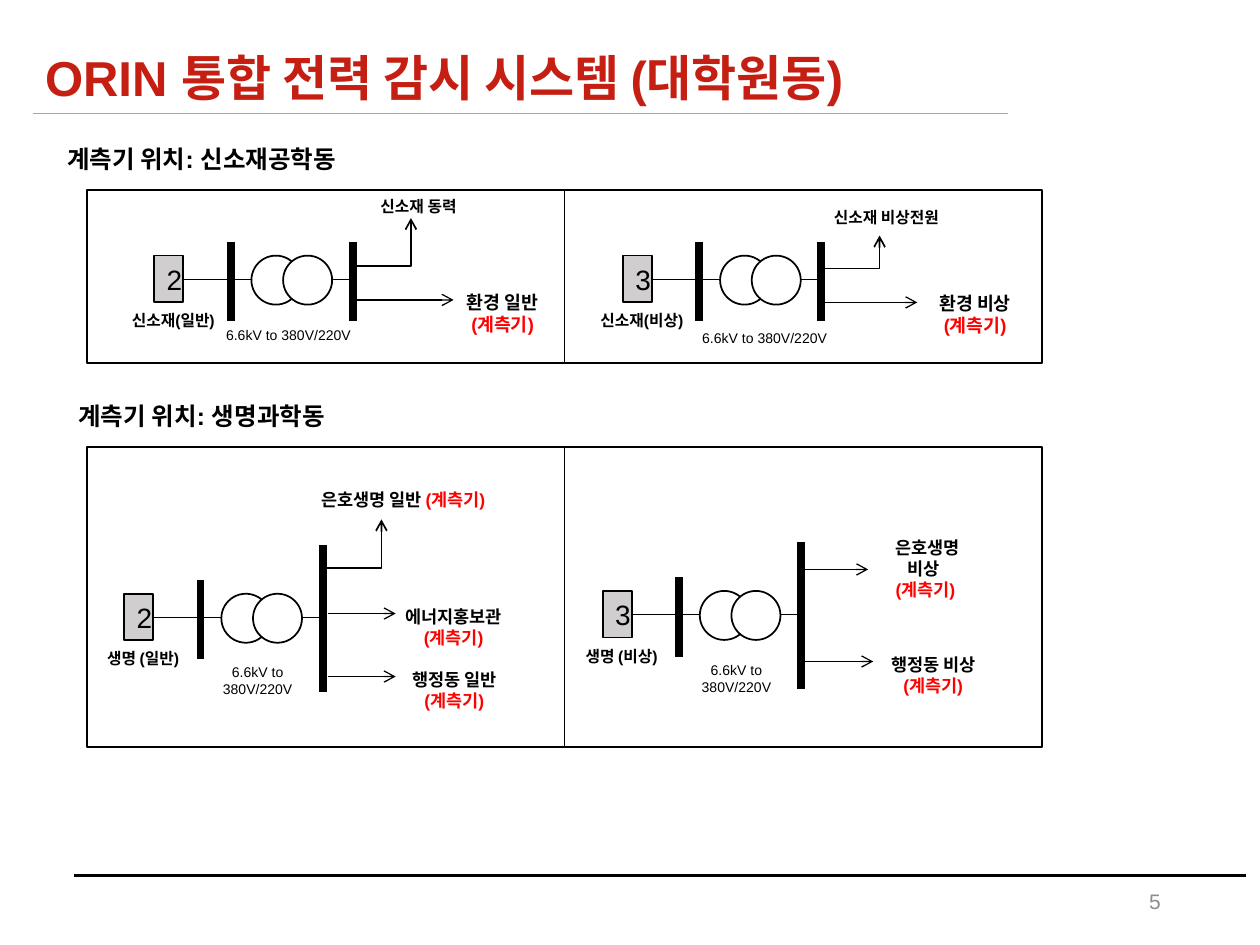
"""Build the power monitoring slide with its four metered feeder circuits."""
from dataclasses import dataclass

from pptx import Presentation
from pptx import util as u
from pptx.dml.color import RGBColor
from pptx.enum import shapes, text
from pptx.oxml import ns, xmlchemy

BLACK = RGBColor(0x00, 0x00, 0x00)
WHITE = RGBColor(0xFF, 0xFF, 0xFF)
RED = RGBColor(0xFF, 0x00, 0x00)
TITLE_RED = RGBColor(0xC4, 0x1F, 0x12)
BOX_GREY = RGBColor(0xD0, 0xCE, 0xCE)
RULE_GREY = RGBColor(0xA6, 0xA6, 0xA6)
NUMBER_GREY = RGBColor(0x8C, 0x8C, 0x8C)

METER = "(계측기)"
RATIO = "6.6kV to 380V/220V"
CENTER = text.PP_ALIGN.CENTER


@dataclass(frozen=True)
class Label:
    lines: tuple
    left: float
    top: float
    width: float
    height: float
    size: float
    bold: bool = True
    color: RGBColor = BLACK
    align: text.PP_ALIGN = CENTER


@dataclass(frozen=True)
class Circuit:
    number: str
    x: float
    y: float
    caption: str
    caption_width: float
    bus_top: float
    bus_bottom: float


@dataclass(frozen=True)
class Arrow:
    points: tuple
    weight: float = 0.75


@dataclass(frozen=True)
class Panel:
    left: float
    top: float
    height: float


CIRCUITS = (
    Circuit("2", 131.8, 159.8, "신소재(일반)", 66.2, -21.6, 23.8),
    Circuit("3", 399.6, 159.8, "신소재(비상)", 66.2, -21.6, 23.8),
    Circuit("2", 114.6, 353, "생명 (일반)", 60.5, -41.4, 42.4),
    Circuit("3", 388, 351.4, "생명 (비상)", 60.5, -41.4, 42.4),
)

ARROWS = (
    Arrow(((203.8, 171.4), (259.2, 171.4))),
    Arrow(((200.2, 152), (234.8, 152), (234.8, 124.6)), 1),
    Arrow(((468.7, 172.8), (524.2, 172.8))),
    Arrow(((470.2, 153.4), (502.6, 153.4), (502.6, 134.6)), 1),
    Arrow(((182.9, 324.5), (218, 324.5), (218, 296.8)), 1),
    Arrow(((187.2, 350.6), (226.1, 350.6))),
    Arrow(((187.2, 386.6), (226.1, 386.6))),
    Arrow(((460.1, 378), (499, 378))),
    Arrow(((456.5, 325.4), (496.1, 325.4))),
)

PANELS = tuple(
    Panel(left, top, height)
    for top, height in ((108.7, 98.6), (255.6, 171.4))
    for left in (49.7, 322.6)
)

LABELS = (
    Label(("ORIN 통합 전력 감시 시스템 (대학원동)",), 18.7, 23.8, 636.5, 41, 28,
          color=TITLE_RED, align=text.PP_ALIGN.LEFT),
    Label(("계측기 위치: 신소재공학동",), 9.4, 78.5, 211.7, 24.5, 14),
    Label(("계측기 위치: 생명과학동",), 9.4, 225.4, 211.7, 24.5, 14),
    Label((RATIO,), 92.2, 182.9, 145.4, 17.3, 8, False),
    Label((RATIO,), 364.3, 185, 145.4, 17.3, 8, False),
    Label((RATIO,), 107.3, 375.8, 79.9, 26.6, 8, False),
    Label((RATIO,), 380.9, 374.4, 79.9, 26.6, 8, False),
    Label(("신소재 동력",), 207.4, 108.7, 63.4, 18, 9),
    Label(("신소재 비상전원",), 465.8, 115.2, 81.4, 18, 9),
    Label(("환경 일반", METER), 257, 162.7, 60.5, 32.4, 10.5),
    Label(("환경 비상", METER), 527, 163.4, 60.5, 32.4, 10.5),
    Label((f" 은호생명 일반 {METER}",), 167.8, 275.8, 123.1, 19.4, 10),
    Label(("에너지홍보관", METER), 221.8, 342.7, 74.9, 31.7, 10),
    Label(("행정동 일반", METER), 225.4, 378.7, 68.4, 31.7, 10),
    Label((" 은호생명 비상 ", METER), 494.6, 303.1, 68.4, 43.9, 10),
    Label(("행정동 비상", METER), 499, 370.1, 68.4, 31.7, 10),
)


def write_paragraph(paragraph, content: str, label: Label) -> None:
    """Write one paragraph, with the meter mark in red."""
    paragraph.alignment = label.align
    before, mark, after = content.partition(METER)
    for part, color in ((before, label.color), (mark, RED), (after, label.color)):
        if part:
            run = paragraph.add_run()
            run.text = part
            font_format = {"name": "Arial", "size": u.Pt(label.size), "bold": label.bold}
            for name, value in font_format.items():
                setattr(run.font, name, value)
            run.font.color.rgb = color


def write_label(slide, label: Label, anchor=text.MSO_ANCHOR.TOP) -> None:
    """Add a wrapped text box."""
    bounds = map(u.Pt, (label.left, label.top, label.width, label.height))
    frame = slide.shapes.add_textbox(*bounds).text_frame
    frame_format = {"word_wrap": True, "vertical_anchor": anchor,
                    "auto_size": text.MSO_AUTO_SIZE.SHAPE_TO_FIT_TEXT}
    for name, value in frame_format.items():
        setattr(frame, name, value)
    for index, content in enumerate(label.lines):
        paragraph = frame.add_paragraph() if index else frame.paragraphs[0]
        write_paragraph(paragraph, content, label)


def set_line(shape, weight: float, color: RGBColor = BLACK) -> None:
    """Set the outline weight and colour."""
    shape.line.width = u.Pt(weight)
    shape.line.color.rgb = color


def draw_line(parent, start: tuple, end: tuple, weight: float, color: RGBColor = BLACK):
    """Draw a straight connector without shadow."""
    connector = parent.shapes.add_connector(
        shapes.MSO_CONNECTOR.STRAIGHT, *map(u.Pt, (*start, *end)))
    set_line(connector, weight, color)
    connector.element.spPr.append(xmlchemy.OxmlElement("a:effectLst"))
    return connector


def draw_shape(parent, kind, bounds: tuple, fill: RGBColor = None):
    """Draw a preset shape with a thin black outline."""
    shape = parent.shapes.add_shape(kind, *map(u.Pt, bounds))
    shape.shadow.inherit = False
    if fill is None:
        shape.fill.background()
    else:
        shape.fill.solid()
        shape.fill.fore_color.rgb = fill
    set_line(shape, 1)
    return shape


def draw_arrow(slide, arrow: Arrow) -> None:
    """Draw a straight or bent arrow with an open head."""
    if len(arrow.points) == 2:
        shape = draw_line(slide, *arrow.points, arrow.weight)
    else:
        start, *corners = [tuple(map(u.Pt, point)) for point in arrow.points]
        builder = slide.shapes.build_freeform(*start)
        builder.add_line_segments(corners, close=False)
        shape = builder.convert_to_shape()
        shape.shadow.inherit = False
        shape.fill.background()
        set_line(shape, arrow.weight)
    head = xmlchemy.OxmlElement("a:tailEnd")
    head.set("type", "arrow")
    shape.element.spPr.find(ns.qn("a:ln")).append(head)


def draw_circuit(slide, circuit: Circuit) -> None:
    """Draw the numbered source, both buses and the transformer between them."""
    x, y = circuit.x, circuit.y
    top, far_bus = y - 13.7, x + 69.8
    draw_line(slide, (x - 32.2, y), (x, y), 0.5)
    draw_line(slide, (x, y - 21.6), (x, y + 23.8), 4.5)
    draw_line(slide, (far_bus, y + circuit.bus_top), (far_bus, y + circuit.bus_bottom), 4.5)
    box = draw_shape(slide, shapes.MSO_SHAPE.RECTANGLE, (x - 43.6, top, 16.6, 26.6), BOX_GREY)
    number = Label((circuit.number,), 0, 0, 0, 0, 16, False)
    write_paragraph(box.text_frame.paragraphs[0], circuit.number, number)
    transformer = slide.shapes.add_group_shape()
    draw_line(transformer, (x + 1.6, y), (x + 16.7, y), 0.5)
    for offset in (11.9, 30):
        draw_shape(transformer, shapes.MSO_SHAPE.OVAL, (x + offset, top, 28, 28), WHITE)
    draw_line(transformer, (x + 58, y), (far_bus, y), 0.5)
    left = x - 32.8 - circuit.caption_width / 2
    write_label(slide, Label((circuit.caption,), left, y + 14.4, circuit.caption_width, 18, 9))


def main() -> None:
    """Build and save the slide."""
    presentation = Presentation()
    presentation.slide_width, presentation.slide_height = u.Pt(720), u.Pt(540)
    slide = presentation.slides.add_slide(presentation.slide_layouts[6])
    draw_line(slide, (42.5, 500.4), (712, 500.4), 1.5)
    draw_line(slide, (18.7, 64.8), (576, 64.8), 0.5, RULE_GREY)
    page_number = Label(("5",), 508.3, 500.4, 162, 28.8, 12, False,
                        NUMBER_GREY, text.PP_ALIGN.RIGHT)
    write_label(slide, page_number, text.MSO_ANCHOR.MIDDLE)
    for panel in PANELS:
        bounds = (panel.left, panel.top, 272.9, panel.height)
        draw_shape(slide, shapes.MSO_SHAPE.RECTANGLE, bounds)
    for circuit in CIRCUITS:
        draw_circuit(slide, circuit)
    for arrow in ARROWS:
        draw_arrow(slide, arrow)
    for label in LABELS:
        write_label(slide, label)
    presentation.save("out.pptx")


if __name__ == "__main__":
    main()
